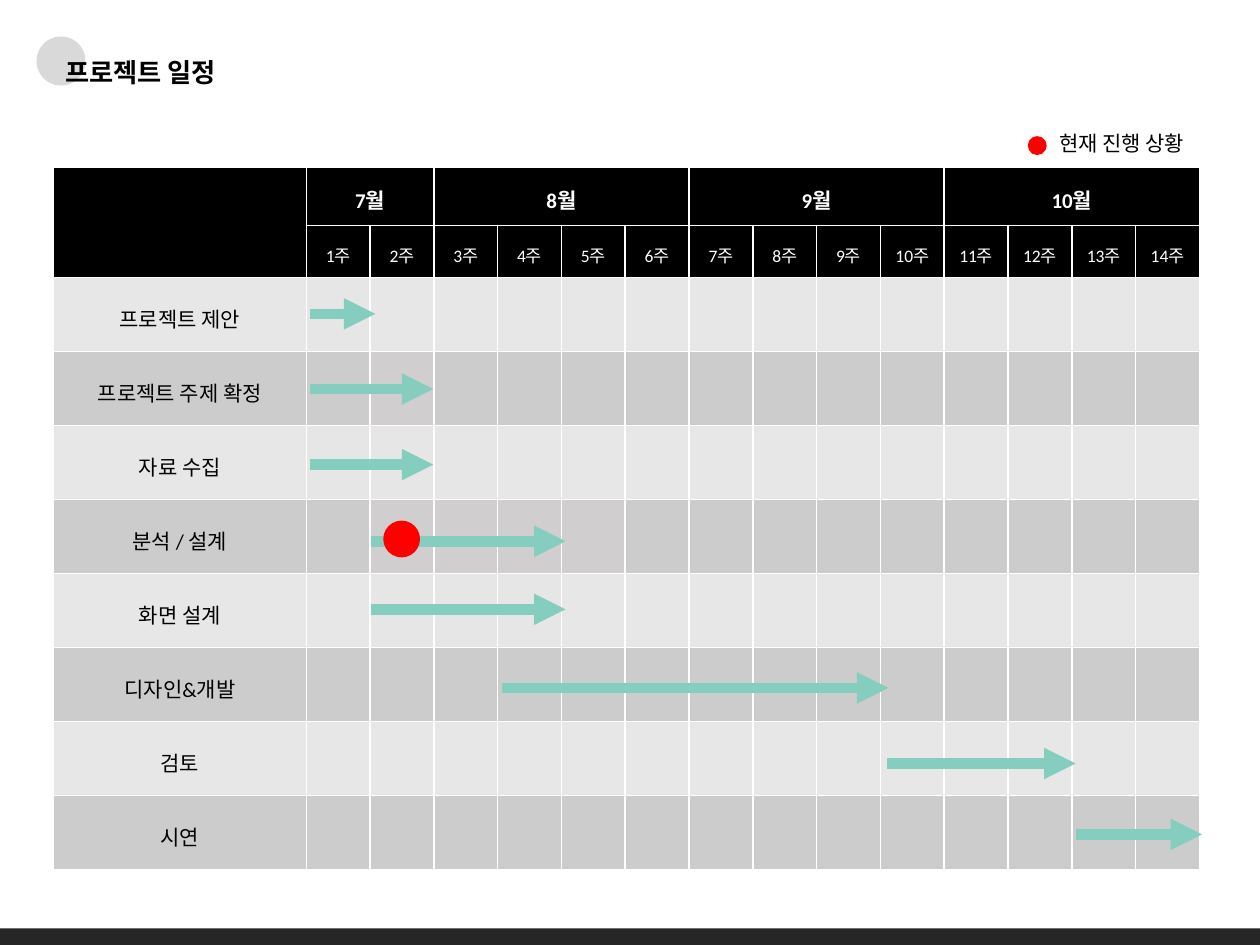
from dataclasses import dataclass

import lxml.etree
import pptx
import pptx.dml.color
import pptx.enum.shapes
import pptx.enum.text
import pptx.oxml.ns
import pptx.util

Pt = pptx.util.Pt
qn = pptx.oxml.ns.qn
ANCHOR = pptx.enum.text.MSO_ANCHOR
ALIGN = pptx.enum.text.PP_ALIGN
SHAPE = pptx.enum.shapes.MSO_SHAPE


@dataclass(frozen=True)
class Theme:
    black: str = "000000"
    white: str = "FFFFFF"
    light: str = "E7E7E7"
    light_tint: str = "E7E6E6"
    dark: str = "CCCCCC"
    dark_tint: str = "D0CECE"
    arrow: str = "85CDBE"
    now: str = "FF0000"
    title_dot: str = "D9D9D9"
    footer: str = "262626"
    heading_font: str = "Arial"
    body_font: str = "Calibri"
    title_size: float = 15
    body_size: float = 12
    week_size: float = 10


THEME = Theme()

TABLE_LEFT, TABLE_TOP = 30.6, 95.3
LABEL_WIDTH, WEEK_WIDTH = 144.4, 36.46
MONTH_HEIGHT, WEEK_HEIGHT, TASK_HEIGHT = 33.5, 29.8, 42.3
MONTHS = [("7월", 2), ("8월", 4), ("9월", 4), ("10월", 4)]
WEEKS = sum(count for _, count in MONTHS)

# Task, tinted weeks, arrow start, arrow end, arrow height on the slide
TASKS = [
    ("프로젝트 제안", range(1, 2), 177.1, 214.5, 179.4),
    ("프로젝트 주제 확정", range(2, 3), 177.1, 247.7, 222.3),
    ("자료 수집", range(1, 4), 177.1, 247.7, 265.5),
    ("분석 / 설계", range(2, 6), 212.2, 323.2, 309.3),
    ("화면 설계", range(2, 5), 212.2, 323.2, 348.2),
    ("디자인&개발", range(0), 286.7, 507.6, 393.1),
    ("검토", range(0), 506.9, 614.7, 436.3),
    ("시연", range(0), 614.7, 686.9, 476.8),
]


def rgb(value):
    return pptx.dml.color.RGBColor.from_string(value)


def write(frame, text, *, size=THEME.body_size, color=THEME.black,
          font=THEME.body_font, bold=False, align=ALIGN.LEFT, spacing=None):
    paragraph = frame.paragraphs[0]
    paragraph.alignment = align
    paragraph.line_spacing = spacing
    run = paragraph.add_run()
    run.text = text
    run.font.size = Pt(size)
    run.font.name = font
    run.font.bold = bold
    run.font.color.rgb = rgb(color)


def add_label(slide, text, left, top, width, height, anchor=ANCHOR.TOP, **style):
    frame = slide.shapes.add_textbox(Pt(left), Pt(top), Pt(width), Pt(height)).text_frame
    frame.word_wrap = True
    frame.vertical_anchor = anchor
    write(frame, text, **style)


def add_block(slide, kind, left, top, width, height, color):
    block = slide.shapes.add_shape(kind, Pt(left), Pt(top), Pt(width), Pt(height))
    block.shadow.inherit = False
    block.fill.solid()
    block.fill.fore_color.rgb = rgb(color)
    block.line.fill.background()


def add_arrow(slide, start, end, y):
    arrow = slide.shapes.add_connector(
        pptx.enum.shapes.MSO_CONNECTOR.STRAIGHT, Pt(start), Pt(y), Pt(end), Pt(y))
    arrow.line.width = Pt(6)
    arrow.line.color.rgb = rgb(THEME.arrow)
    lxml.etree.SubElement(arrow.line._get_or_add_ln(), qn("a:tailEnd"), type="triangle")
    lxml.etree.SubElement(arrow._element.spPr, qn("a:effectLst"))


def format_cell(cell, color):
    """Give the cell white borders on every side, then its fill."""
    properties = cell._tc.get_or_add_tcPr()
    for side in ("a:lnL", "a:lnR", "a:lnT", "a:lnB"):
        border = lxml.etree.SubElement(properties, qn(side), w=str(Pt(1)))
        fill = lxml.etree.SubElement(border, qn("a:solidFill"))
        lxml.etree.SubElement(fill, qn("a:srgbClr"), val=THEME.white)
    cell.fill.solid()
    cell.fill.fore_color.rgb = rgb(color)
    cell.vertical_anchor = ANCHOR.MIDDLE
    cell.margin_top = cell.margin_bottom = 0


def write_cell(cell, text, **style):
    write(cell.text_frame, text, align=ALIGN.CENTER, spacing=1.25, **style)


def cell_color(row, week):
    if row < 2:
        return THEME.black
    tinted = week in TASKS[row - 2][1]
    if row % 2 == 0:
        return THEME.light_tint if tinted else THEME.light
    return THEME.dark_tint if tinted else THEME.dark


def add_schedule(slide):
    widths = [LABEL_WIDTH] + [WEEK_WIDTH] * WEEKS
    heights = [MONTH_HEIGHT, WEEK_HEIGHT] + [TASK_HEIGHT] * len(TASKS)
    table = slide.shapes.add_table(
        len(heights), len(widths), Pt(TABLE_LEFT), Pt(TABLE_TOP),
        Pt(sum(widths)), Pt(sum(heights))).table
    table.horz_banding = False
    for column, width in zip(table.columns, widths):
        column.width = Pt(width)
    for row, height in zip(table.rows, heights):
        row.height = Pt(height)
    for row in range(len(heights)):
        for week in range(len(widths)):
            format_cell(table.cell(row, week), cell_color(row, week))

    table.cell(0, 0).merge(table.cell(1, 0))
    first = 1
    for month, count in MONTHS:
        table.cell(0, first).merge(table.cell(0, first + count - 1))
        write_cell(table.cell(0, first), month, color=THEME.white, bold=True)
        first += count
    for week in range(1, WEEKS + 1):
        write_cell(table.cell(1, week), f"{week}주", size=THEME.week_size, color=THEME.white)
    for row, task in enumerate(TASKS, start=2):
        write_cell(table.cell(row, 0), task[0])


def main():
    deck = pptx.Presentation()
    deck.slide_width, deck.slide_height = Pt(720), Pt(540)
    slide = deck.slides.add_slide(deck.slide_layouts[6])

    add_block(slide, SHAPE.OVAL, 20.9, 20.9, 28, 28, THEME.title_dot)
    add_block(slide, SHAPE.RECTANGLE, 0, 530.6, 720, 9.4, THEME.footer)
    add_label(slide, "프로젝트 일정", 30.2, 28, 242.6, 26, anchor=ANCHOR.BOTTOM,
              size=THEME.title_size, font=THEME.heading_font, bold=True, spacing=0.9)

    add_schedule(slide)
    for _, _, start, end, y in TASKS:
        add_arrow(slide, start, end, y)

    add_block(slide, SHAPE.OVAL, 219, 297.5, 21, 21, THEME.now)
    add_block(slide, SHAPE.OVAL, 587.3, 77.8, 10.8, 10.8, THEME.now)
    add_label(slide, "현재 진행 상황", 598.1, 71.3, 105.8, 21.8)
    deck.save("out.pptx")


if __name__ == "__main__":
    main()
